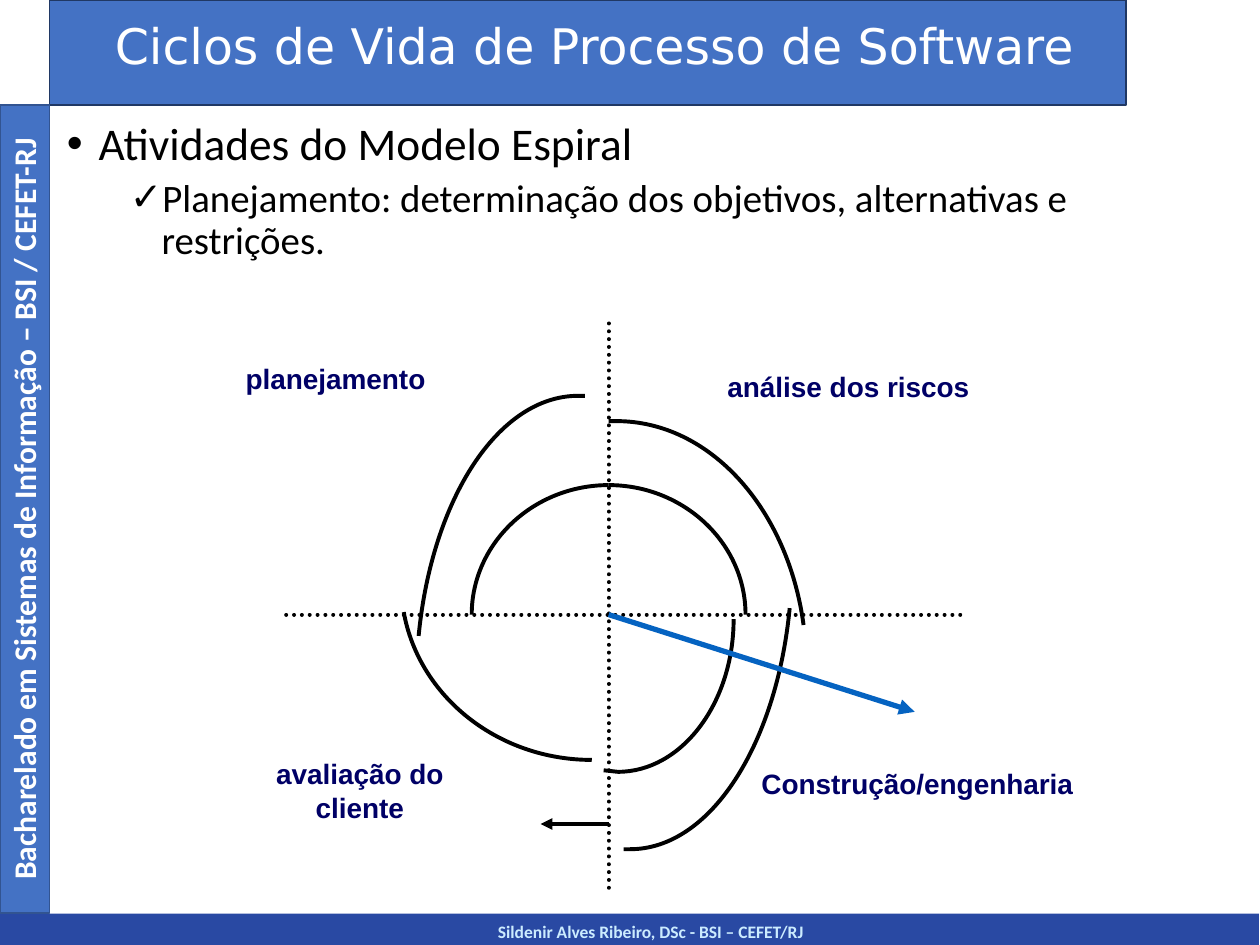
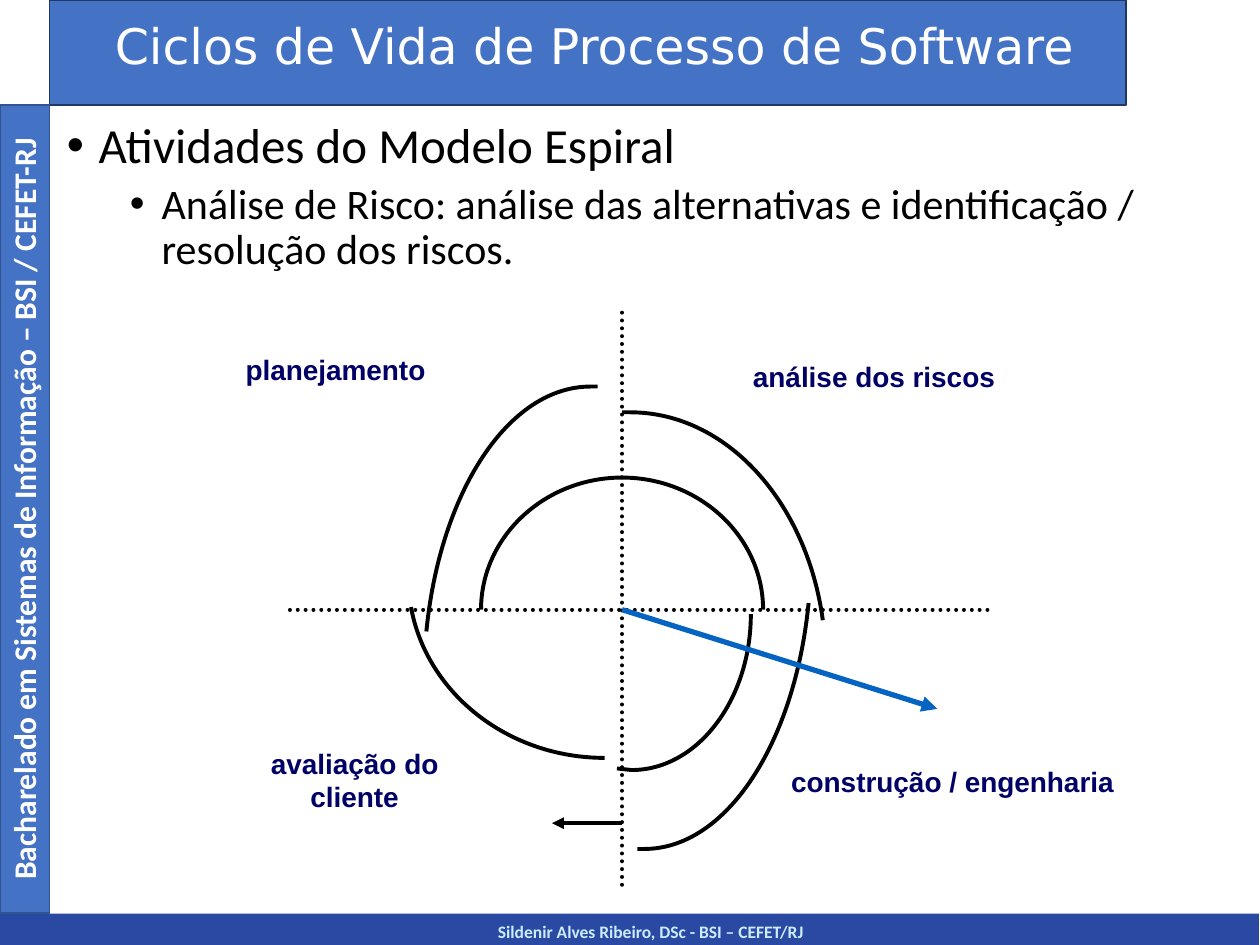
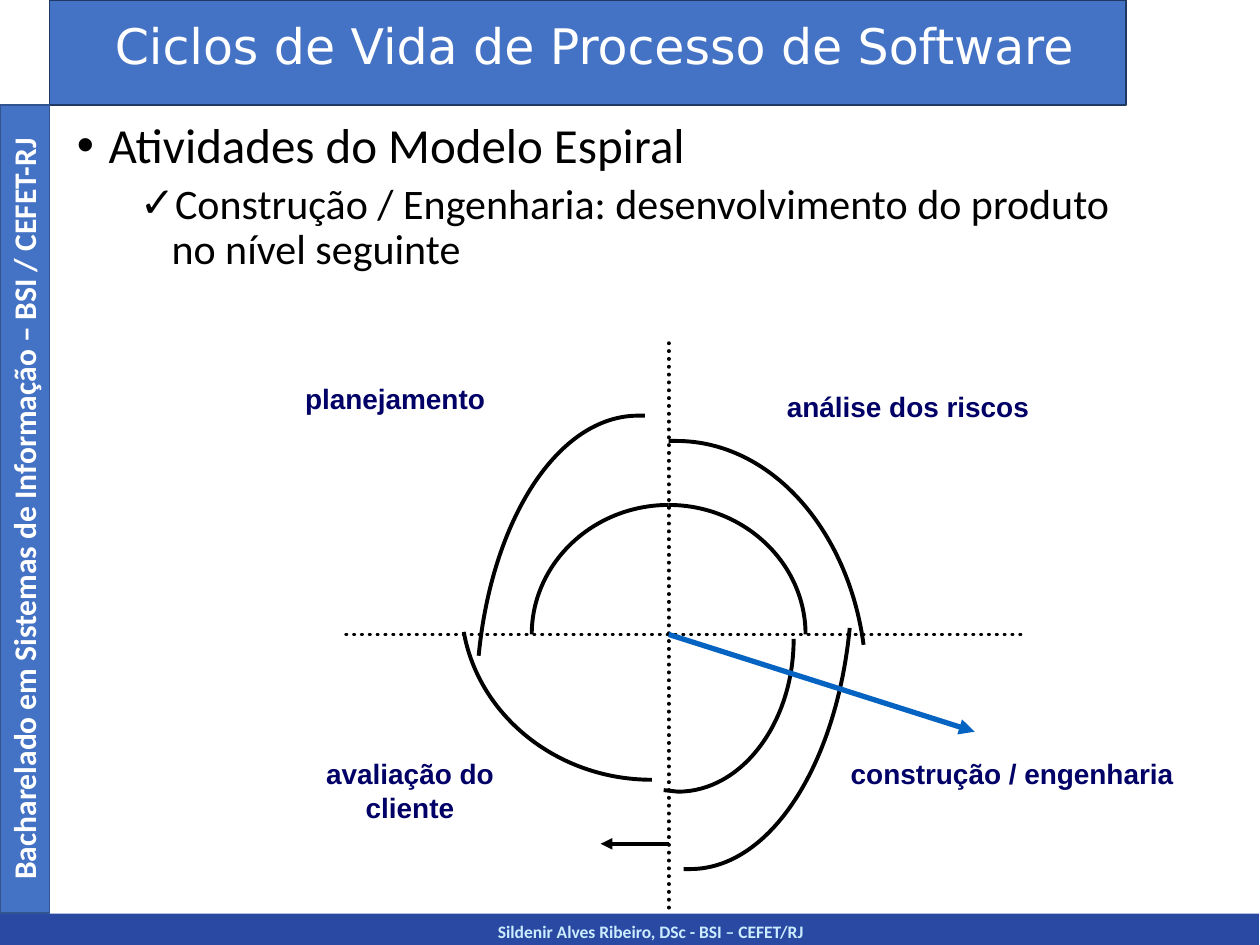
"""Build three slides on the activities of the spiral model."""
from dataclasses import dataclass

from lxml.etree import SubElement
from pptx import Presentation
from pptx.dml.color import RGBColor
from pptx.enum.dml import MSO_LINE
from pptx.enum.shapes import MSO_CONNECTOR, MSO_SHAPE
from pptx.enum.text import PP_ALIGN
from pptx.oxml.ns import qn
from pptx.util import Cm, Pt


@dataclass(frozen=True)
class Theme:
    band: str = "4472C4"
    edge: str = "203864"
    side: str = "325491"
    foot: str = "2949A3"
    pale: str = "CCECFF"
    white: str = "FFFFFF"
    black: str = "000000"
    navy: str = "000066"
    blue: str = "0563C1"
    head: str = "DejaVu Sans"
    main: str = "Calibri"
    label: str = "Arial"
    title_size: float = 28
    side_size: float = 18
    label_size: float = 16
    foot_size: float = 10
    thin: float = 1
    curve: float = 2.25
    thick: float = 3


LOOK = Theme()

TITLE = "Ciclos de Vida de Processo de Software"
SIDE = "Bacharelado em Sistemas de Informação – BSI / CEFET-RJ"
FOOT = "Sildenir Alves Ribeiro, DSc - BSI – CEFET/RJ"
TOPIC = "Atividades do Modelo Espiral"
CLIENT, RISK, PLAN = "avaliação do cliente", "análise dos riscos", "planejamento"
BUILD = "construção / engenharia"

PAGES = [
    {
        "point": "Planejamento: determinação dos objetivos, alternativas e restrições.",
        "mark": "✓", "sizes": (25.9, 22.2), "body": (1.1, 2.32, 24, 2.72),
        "hub": (12.27, 12.39), "scale": (1, 1),
        "labels": [
            (CLIENT, (4.5, 15.13, 5.51, 2.92), True),
            ("Construção/engenharia", (15.1, 15.32, 7.21, 2.06), False),
            (RISK, (13.51, 7.32, 7.19, 2.92), True),
            (PLAN, (4.7, 7.16, 7.57, 2.92), False),
        ],
    },
    {
        "point": "Análise de Risco: análise das alternativas e identificação / "
                 "resolução dos riscos.",
        "mark": "•", "sizes": (28, 24), "body": (1.1, 2.32, 24, 3.5),
        "hub": (12.54, 12.29), "scale": (1.03, 1.02),
        "labels": [
            (CLIENT, (4.29, 14.92, 5.72, 2.97), True),
            (BUILD, (15.7, 15.29, 7.19, 2.11), False),
            (RISK, (13.9, 7.12, 7.44, 2.97), True),
            (PLAN, (4.7, 6.99, 7.82, 2.97), False),
        ],
    },
    {
        "point": "Construção / Engenharia: desenvolvimento do produto no nível seguinte",
        "mark": "✓", "sizes": (28, 24), "body": (1.3, 2.32, 21.89, 3.81),
        "hub": (13.48, 12.79), "scale": (1, 1),
        "labels": [
            (CLIENT, (5.51, 15.13, 5.51, 2.92), True),
            (BUILD, (16.9, 15.13, 7.19, 2.06), False),
            (RISK, (14.71, 7.72, 7.19, 2.92), True),
            (PLAN, (5.9, 7.57, 7.57, 2.92), False),
        ],
    },
]

ROUND = ((0, 0.55), (0.45, 1), (1, 1))
HOOK = ((0, 0.55), (0.4, 1), (0.89, 1), (1, 0.99))
OPEN = ((0.08, 0.57), (0.5, 1), (1, 1))
LEAN = ((0.08, 0.57), (0.48, 1), (0.96, 1), (1, 1))

ARCS = [
    ((-2.76, 0), (0, -2.61), ROUND),
    ((2.76, 0), (0, -2.61), ROUND),
    ((2.52, 0.09), (-0.1, 3.17), HOOK),
    ((-4.13, -0.05), (-0.34, 2.93), OPEN),
    ((-3.83, 0.43), (-0.48, -4.41), LEAN),
    ((3.93, 0.21), (0, -3.9), LEAN),
    ((3.65, -0.13), (0.3, 4.73), LEAN),
]

LINES = [
    ((0, 4.22), (-1.37, 4.22), {"arrow": True}),
    ((0, -5.87), (0, 5.54), {"dots": True}),
    ((-6.5, 0), (7.21, 0), {"dots": True}),
    ((0, 0), (6.17, 1.96), {"arrow": True, "color": LOOK.blue, "width": LOOK.thick}),
]


def paint(part, color):
    part.solid()
    part.fore_color.rgb = RGBColor.from_string(color)


def pen(line, color, width):
    paint(line.fill, color)
    line.width = Pt(width)


def add_text(frame, text, *, font, size, color, bold=False, center=False,
             lead=None, before=None, mark=None, indent=0, level=0, first=True):
    frame.word_wrap = True
    para = frame.paragraphs[0] if first else frame.add_paragraph()
    para.alignment = PP_ALIGN.CENTER if center else PP_ALIGN.LEFT
    para.level = level
    if lead:
        para.line_spacing = lead
    if before:
        para.space_before = Pt(before)
    run = para.add_run()
    run.text = text
    run.font.name, run.font.size, run.font.bold = font, Pt(size), bold
    run.font.color.rgb = RGBColor.from_string(color)
    if mark:
        props = para._p.get_or_add_pPr()
        props.set("marL", str(Cm(indent)))
        props.set("indent", str(Cm(-0.64)))
        SubElement(props, qn("a:buFont")).set("typeface", LOOK.label)
        SubElement(props, qn("a:buChar")).set("char", mark)


def add_box(slide, place):
    return slide.shapes.add_textbox(*map(Cm, place))


def add_band(slide, place, color, edge=None):
    band = slide.shapes.add_shape(MSO_SHAPE.RECTANGLE, *map(Cm, place))
    band.shadow.inherit = False
    paint(band.fill, color)
    if edge:
        pen(band.line, edge, LOOK.thin)
    else:
        band.line.fill.background()


def add_frame(slide):
    add_band(slide, (0, 18.42, 25.38, 0.64), LOOK.foot)
    add_text(add_box(slide, (1.29, 18.44, 23.65, 0.64)).text_frame, FOOT, font=LOOK.main,
             size=LOOK.foot_size, color=LOOK.pale, bold=True, center=True)
    add_band(slide, (1, 0, 21.7, 2.12), LOOK.band, LOOK.edge)
    add_band(slide, (0, 2.12, 1, 16.29), LOOK.band, LOOK.side)
    side = add_box(slide, (-7.66, 9.75, 16.28, 1.02))
    side.rotation = 270
    add_text(side.text_frame, SIDE, font=LOOK.main, size=LOOK.side_size,
             color=LOOK.white, bold=True, center=True)
    add_text(add_box(slide, (1.06, 0.33, 21.84, 1.6)).text_frame, TITLE, font=LOOK.head,
             size=LOOK.title_size, color=LOOK.white, center=True, lead=0.9)


def add_body(slide, page):
    frame = add_box(slide, page["body"]).text_frame
    big, small = page["sizes"]
    base = {"font": LOOK.main, "color": LOOK.black, "lead": 0.9}
    add_text(frame, TOPIC, size=big, before=10, mark="•", indent=0.64, **base)
    add_text(frame, page["point"], size=small, before=5, mark=page["mark"],
             indent=1.91, level=1, first=False, **base)


def add_arc(slide, start, one, two, *ends):
    draft = slide.shapes.build_freeform(*start)
    draft.add_line_segments(ends, close=False)
    arc = draft.convert_to_shape()
    arc.shadow.inherit = False
    arc.fill.background()
    pen(arc.line, LOOK.black, LOOK.curve)
    bend = next(arc._element.iter(qn("a:lnTo")))
    bend.tag = qn("a:cubicBezTo")
    for spot, (x, y) in enumerate((one, two)):
        knob = bend.makeelement(qn("a:pt"), {"x": str(x - arc.left), "y": str(y - arc.top)})
        bend.insert(spot, knob)


def add_line(slide, start, end, arrow=False, dots=False, color=LOOK.black,
             width=LOOK.curve):
    link = slide.shapes.add_connector(MSO_CONNECTOR.STRAIGHT, *start, *end)
    pen(link.line, color, width)
    stroke = link.line._get_or_add_ln()
    if dots:
        link.line.dash_style = MSO_LINE.ROUND_DOT
        stroke.set("cap", "rnd")
    if arrow:
        SubElement(stroke, qn("a:tailEnd")).set("type", "triangle")
    SubElement(link._element.spPr, qn("a:effectLst"))


def add_spiral(slide, page):
    def place(spot):
        return tuple(Cm(h + s * v) for h, s, v in zip(page["hub"], page["scale"], spot))

    for text, area, center in page["labels"]:
        add_text(add_box(slide, area).text_frame, text, font=LOOK.label,
                 size=LOOK.label_size, color=LOOK.navy, bold=True, center=center)
    for start, end, bend in ARCS:
        spots = [[s + (e - s) * f for s, e, f in zip(start, end, part)] for part in bend]
        add_arc(slide, *map(place, (start, *spots)))
    for start, end, style in LINES:
        add_line(slide, place(start), place(end), **style)


def main():
    deck = Presentation()
    deck.slide_width, deck.slide_height = Cm(25.4), Cm(19.05)
    for page in PAGES:
        slide = deck.slides.add_slide(deck.slide_layouts[6])
        add_frame(slide)
        add_body(slide, page)
        add_spiral(slide, page)
    deck.save("out.pptx")


if __name__ == "__main__":
    main()
